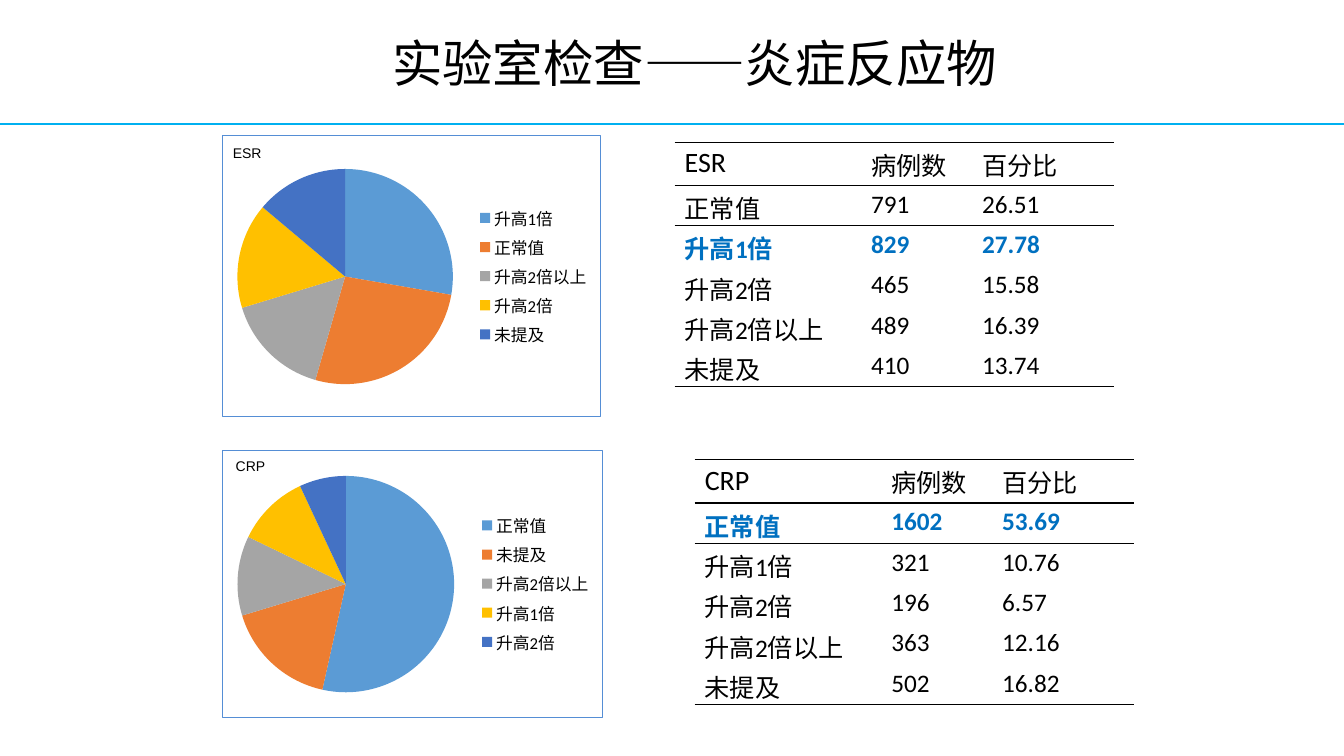
"""Build a slide on inflammatory markers with a pie chart and a table for ESR and CRP."""
from dataclasses import dataclass

from lxml import etree
from pptx import Presentation
from pptx.chart.data import CategoryChartData
from pptx.dml.color import RGBColor as Rgb
from pptx.enum.chart import XL_CHART_TYPE as ChartType, XL_LEGEND_POSITION as LegendPosition
from pptx.enum.shapes import MSO_CONNECTOR as Connector
from pptx.enum.text import MSO_ANCHOR as Anchor, PP_ALIGN as Align
from pptx.oxml import parse_xml
from pptx.oxml.ns import nsdecls, qn
from pptx.util import Inches, Pt


@dataclass(frozen=True)
class Theme:
    ink: str = "000000"
    accent: str = "0070C0"
    rule: str = "00B0F0"
    frame: str = "558ED5"
    slices: tuple = ("5B9BD5", "ED7D31", "A5A5A5", "FFC000", "4472C4")
    latin: str = "Calibri"
    label_font: str = "Arial"
    chinese: str = "Noto Sans CJK SC"
    title_size: int = 36
    head_size: int = 20
    body_size: int = 18
    legend_size: int = 12
    label_size: int = 10


theme = Theme()
presentation = Presentation()
presentation.slide_width = Inches(13.33)
presentation.slide_height = Inches(7.5)
slide = presentation.slides.add_slide(presentation.slide_layouts[6])
column = presentation.slide_width / 100
row = presentation.slide_height / 100


def area(left, top, width, height):
    """Turn percentages of the slide into lengths."""
    return [round(left * column), round(top * row), round(width * column), round(height * row)]


def write(frame, text, size, font, color=theme.ink, bold=False):
    """Add one styled run to the first paragraph and return the paragraph."""
    paragraph = frame.paragraphs[0]
    run = paragraph.add_run()
    run.text = text
    run.font.size = Pt(size)
    run.font.name = font
    run.font.bold = bold
    run.font.color.rgb = Rgb.from_string(color)
    east_asian = etree.SubElement(run.font._element, qn("a:ea"))
    east_asian.set("typeface", theme.chinese)
    return paragraph


title_height = 16.4
rule = slide.shapes.add_connector(Connector.STRAIGHT, *area(0, title_height, 100, title_height))
rule.line.color.rgb = Rgb.from_string(theme.rule)
rule.line.width = Pt(2)
etree.SubElement(rule._element.spPr, qn("a:effectLst"))

title = slide.shapes.add_textbox(*area(6.68, 0, 90, title_height)).text_frame
title.word_wrap = True
title.vertical_anchor = Anchor.MIDDLE
write(title, "实验室检查——炎症反应物", theme.title_size, theme.chinese).alignment = Align.CENTER

markers = [
    {
        "name": "ESR",
        "chart": (16.5, 17.87, 28.2, 37.33),
        "plot": (0.04, 0.117, 0.57, 0.769),
        "label": (16.58, 18.4),
        "table": (50.19, 18.8),
        "highlight": "升高1倍",
        "rows": [("正常值", 791, 26.51), ("升高1倍", 829, 27.78), ("升高2倍", 465, 15.58),
                 ("升高2倍以上", 489, 16.39), ("未提及", 410, 13.74)],
    },
    {
        "name": "CRP",
        "chart": (16.5, 59.47, 28.36, 35.47),
        "plot": (0.04, 0.097, 0.57, 0.81),
        "label": (16.8, 59.87),
        "table": (51.69, 60.8),
        "highlight": "正常值",
        "rows": [("正常值", 1602, 53.69), ("升高1倍", 321, 10.76), ("升高2倍", 196, 6.57),
                 ("升高2倍以上", 363, 12.16), ("未提及", 502, 16.82)],
    },
]
column_widths = (13.88, 8.25, 10.58)
row_heights = (5.73,) + (5.33,) * 5

for marker in markers:
    ranked = sorted(marker["rows"], key=lambda entry: entry[2], reverse=True)
    chart_data = CategoryChartData()
    chart_data.categories = [entry[0] for entry in ranked]
    chart_data.add_series("Series 1", [round(entry[2]) for entry in ranked])
    chart = slide.shapes.add_chart(ChartType.PIE, *area(*marker["chart"]), chart_data).chart
    chart.has_title = False
    chart.font.size = Pt(theme.label_size)
    chart.font.name = theme.latin
    chart.font.color.rgb = Rgb.from_string(theme.ink)
    chart.has_legend = True
    chart.legend.position = LegendPosition.RIGHT
    chart.legend.include_in_layout = False
    chart.legend.font.size = Pt(theme.legend_size)
    chart.legend.font.name = theme.latin
    chart.legend.font.color.rgb = Rgb.from_string(theme.ink)

    pie = chart.plots[0]
    pie.vary_by_categories = True
    for index, color in enumerate(theme.slices):
        fill = pie.series[0].points[index].format.fill
        fill.solid()
        fill.fore_color.rgb = Rgb.from_string(color)

    plot_area = chart.element.find(".//" + qn("c:plotArea"))
    for old_layout in plot_area.findall(qn("c:layout")):
        plot_area.remove(old_layout)
    layout = etree.Element(qn("c:layout"))
    manual = etree.SubElement(layout, qn("c:manualLayout"))
    settings = [("layoutTarget", "inner"), ("xMode", "edge"), ("yMode", "edge")]
    for tag, value in settings + list(zip("xywh", marker["plot"])):
        etree.SubElement(manual, qn(f"c:{tag}")).set("val", str(value))
    plot_area.insert(0, layout)
    chart.element.find(qn("c:txPr")).addprevious(parse_xml(
        f'<c:spPr {nsdecls("c", "a")}><a:noFill/><a:ln w="{Pt(0.75)}"><a:solidFill>'
        f'<a:srgbClr val="{theme.frame}"/></a:solidFill></a:ln></c:spPr>'))

    label = slide.shapes.add_textbox(*area(*marker["label"], 4.73, 5.33)).text_frame
    label.word_wrap = True
    write(label, marker["name"], theme.label_size, theme.label_font)

    lines = [(marker["name"], "病例数", "百分比")] + marker["rows"]
    size = (sum(column_widths), sum(row_heights))
    frame = slide.shapes.add_table(len(lines), len(column_widths), *area(*marker["table"], *size))
    table = frame.table
    table.first_row = False
    table.horz_banding = False
    table._tbl.tblPr.find(qn("a:tableStyleId")).text = "{2D5ABB26-0587-4C30-8999-92F81FD0307C}"
    for table_column, width in zip(table.columns, column_widths):
        table_column.width = round(width * column)
    for table_row, height in zip(table.rows, row_heights):
        table_row.height = round(height * row)

    for row_index, line in enumerate(lines):
        highlighted = line[0] == marker["highlight"]
        edges = {0: ("lnT", "lnB"), 1: ("lnT",), len(lines) - 1: ("lnB",)}.get(row_index, ())
        for column_index, value in enumerate(line):
            cell = table.cell(row_index, column_index)
            cell.margin_top = Inches(0.04)
            cell.margin_bottom = 0
            corner = row_index == column_index == 0
            write(cell.text_frame, str(value), theme.head_size if corner else theme.body_size,
                  theme.latin, theme.accent if highlighted else theme.ink, highlighted)
            for edge in edges:
                cell._tc.get_or_add_tcPr().append(parse_xml(
                    f'<a:{edge} {nsdecls("a")} w="{Pt(1)}"><a:solidFill>'
                    f'<a:srgbClr val="{theme.ink}"/></a:solidFill></a:{edge}>'))
            cell.fill.background()

presentation.save("out.pptx")
